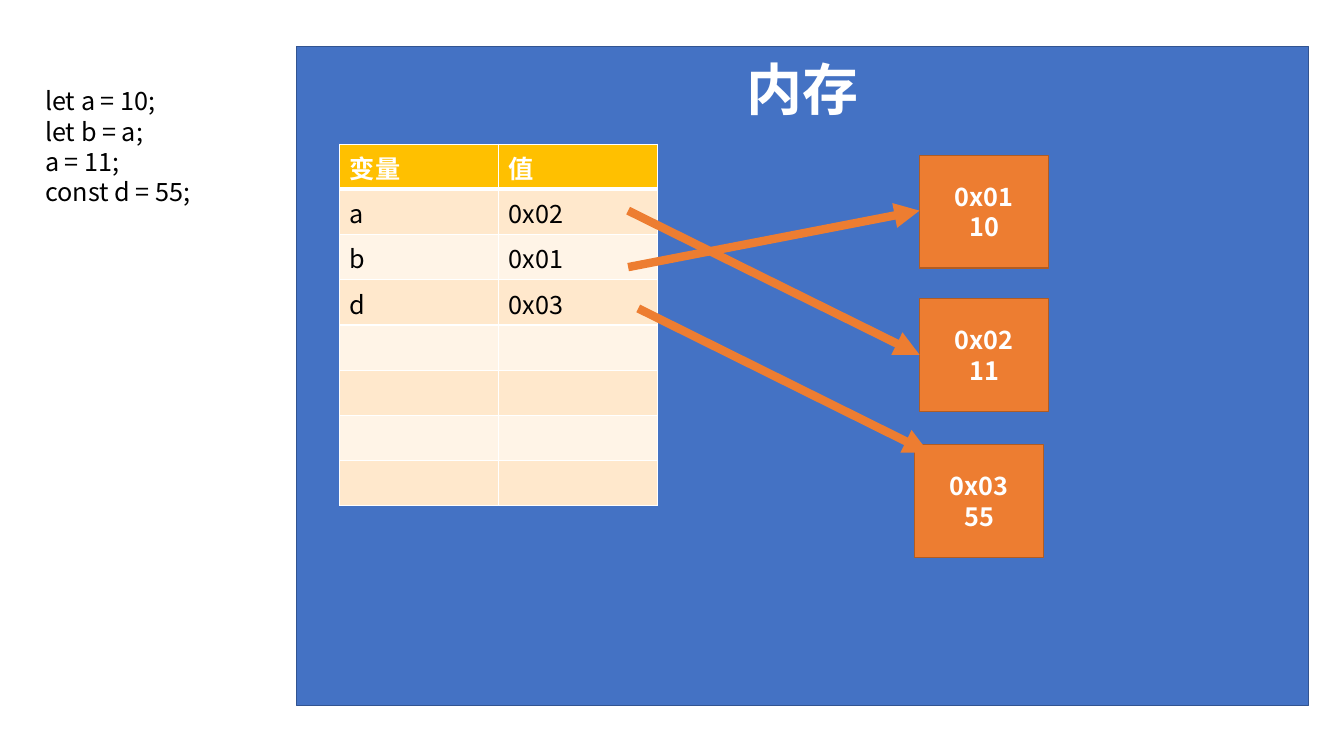
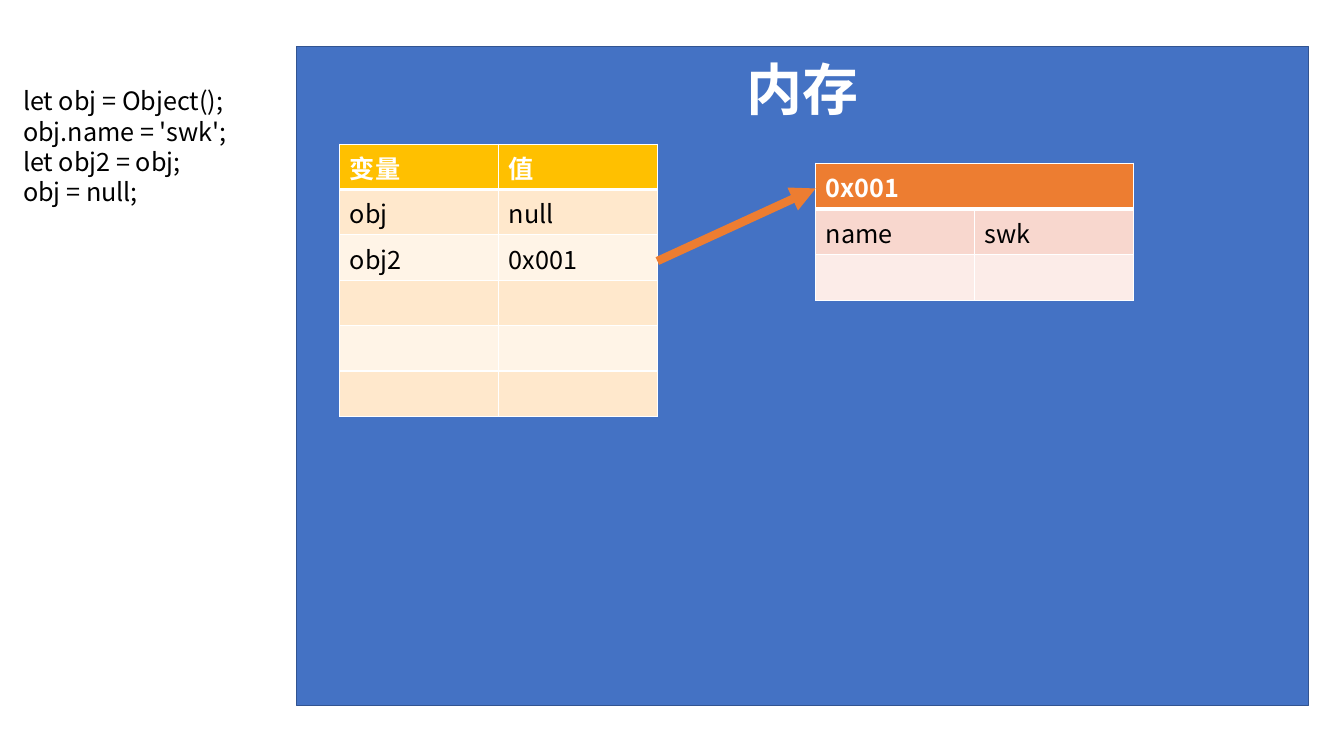
from dataclasses import dataclass

from lxml.etree import SubElement
from pptx import Presentation
from pptx.dml.color import RGBColor
from pptx.enum.shapes import MSO_CONNECTOR, MSO_SHAPE
from pptx.enum.text import MSO_ANCHOR, PP_ALIGN
from pptx.oxml.ns import qn
from pptx.slide import Slide
from pptx.table import _Cell
from pptx.text.text import TextFrame, _Paragraph
from pptx.util import Inches, Pt

# Shared style
FONT = "Noto Sans CJK SC"
WHITE, BLACK = "FFFFFF", "000000"
BLUE, DARK_BLUE = "4472C4", "325491"
ORANGE, DARK_ORANGE = "ED7D31", "AF5C24"
TEXT_SIZE, TITLE_SIZE = 18, 40
LINE_FACTOR = 1.2
TABLE_WIDTH = 3.15
CELL_WIDTH, CELL_HEIGHT = 1.28, 1.12


@dataclass
class TableColors:
    header: str
    bands: tuple[str, str]


VARIABLE_COLORS = TableColors("FFC000", ("FFE8CC", "FFF4E7"))
OBJECT_COLORS = TableColors(ORANGE, ("F8D7CE", "FCECE8"))


@dataclass
class Grid:
    left: float
    top: float
    height: float
    row_count: int
    rows: list[tuple[str, ...]]
    colors: TableColors


@dataclass
class MemoryCell:
    left: float
    top: float
    text: str


@dataclass
class Arrow:
    start: tuple[float, float]
    end: tuple[float, float]


@dataclass
class MemoryPage:
    code: str
    code_left: float
    code_width: float
    grids: list[Grid]
    cells: list[MemoryCell]
    arrows: list[Arrow]


def rgb(color: str) -> RGBColor:
    return RGBColor.from_string(color)


# Text
def style_runs(para: _Paragraph, size: float, color: str, bold: bool) -> None:
    for span in para.runs:
        span.font.size = Pt(size)
        span.font.bold = bold
        span.font.name = FONT
        span.font.color.rgb = rgb(color)
        SubElement(span.font._element, qn("a:ea"), typeface=FONT)


def write_lines(frame: TextFrame, text: str, size: float, color: str,
                bold: bool, align: PP_ALIGN) -> None:
    frame.word_wrap = True
    frame.text = text
    for para in frame.paragraphs:
        para.alignment = align
        para.line_spacing = Pt(size * LINE_FACTOR)
        style_runs(para, size, color, bold)


# Shapes
def draw_box(page: Slide, left: float, top: float, width: float, height: float,
             fill: str, outline: str, text: str, size: float,
             anchor: MSO_ANCHOR) -> None:
    box = page.shapes.add_shape(MSO_SHAPE.RECTANGLE, Inches(left), Inches(top),
                                Inches(width), Inches(height))
    box.shadow.inherit = False
    box.fill.solid()
    box.fill.fore_color.rgb = rgb(fill)
    box.line.color.rgb = rgb(outline)
    box.line.width = Pt(1)
    box.text_frame.vertical_anchor = anchor
    box.text_frame.margin_top = Inches(0.08)
    box.text_frame.margin_bottom = Inches(0.08)
    write_lines(box.text_frame, text, size, WHITE, True, PP_ALIGN.CENTER)


def draw_code(page: Slide, code: str, left: float, width: float) -> None:
    box = page.shapes.add_textbox(Inches(left), Inches(0.8), Inches(width), Inches(1.31))
    write_lines(box.text_frame, code, TEXT_SIZE, BLACK, False, PP_ALIGN.LEFT)


def draw_arrow(page: Slide, arrow: Arrow) -> None:
    ends = [Inches(value) for value in (*arrow.start, *arrow.end)]
    connector = page.shapes.add_connector(MSO_CONNECTOR.STRAIGHT, *ends)
    connector.line.color.rgb = rgb(ORANGE)
    connector.line.width = Pt(6)
    SubElement(connector.line._get_or_add_ln(), qn("a:tailEnd"), type="triangle")
    SubElement(connector._element.spPr, qn("a:effectLst"))


# Tables
def add_border(cell: _Cell, side: str, points: float) -> None:
    line = SubElement(cell._tc.get_or_add_tcPr(), qn(f"a:ln{side}"), w=str(Pt(points)))
    SubElement(SubElement(line, qn("a:solidFill")), qn("a:srgbClr"), val=WHITE)


def draw_grid(page: Slide, grid: Grid) -> None:
    table = page.shapes.add_table(grid.row_count, 2, Inches(grid.left), Inches(grid.top),
                                  Inches(TABLE_WIDTH), Inches(grid.height)).table
    for row in range(grid.row_count):
        is_header = row == 0
        texts = grid.rows[row] if row < len(grid.rows) else ("", "")
        for column in range(2):
            cell = table.cell(row, column)
            cell.margin_bottom = Inches(0.03)
            add_border(cell, "L", 1)
            add_border(cell, "R", 1)
            add_border(cell, "T", 3 if row == 1 else 1)
            add_border(cell, "B", 3 if is_header else 1)
            cell.fill.solid()
            band = grid.colors.bands[(row - 1) % 2]
            cell.fill.fore_color.rgb = rgb(grid.colors.header if is_header else band)
            if column < len(texts) and texts[column]:
                para = cell.text_frame.paragraphs[0]
                para.text = texts[column]
                style_runs(para, TEXT_SIZE, WHITE if is_header else BLACK, is_header)
        if len(texts) == 1:
            table.cell(row, 0).merge(table.cell(row, 1))


def variable_grid(height: float, row_count: int, rows: list[tuple[str, ...]]) -> Grid:
    return Grid(3.37, 1.43, height, row_count, [("变量", "值"), *rows], VARIABLE_COLORS)


def draw_page(page: Slide, content: MemoryPage) -> None:
    draw_box(page, 2.94, 0.46, 10.04, 6.54, BLUE, DARK_BLUE, "内存",
             TITLE_SIZE, MSO_ANCHOR.TOP)
    draw_code(page, content.code, content.code_left, content.code_width)
    for grid in content.grids:
        draw_grid(page, grid)
    for cell in content.cells:
        draw_box(page, cell.left, cell.top, CELL_WIDTH, CELL_HEIGHT, ORANGE, DARK_ORANGE,
                 cell.text, TEXT_SIZE, MSO_ANCHOR.MIDDLE)
    for arrow in content.arrows:
        draw_arrow(page, arrow)


# Content
PAGES = [
    MemoryPage(
        code="let a = 10;\nlet b = a;\na = 11;\nconst d = 55;",
        code_left=0.35,
        code_width=1.94,
        grids=[variable_grid(3.59, 8, [("a", "0x02"), ("b", "0x01"), ("d", "0x03")])],
        cells=[
            MemoryCell(9.12, 1.54, "0x01\n10"),
            MemoryCell(9.12, 2.96, "0x02\n11"),
            MemoryCell(9.07, 4.41, "0x03\n55"),
        ],
        arrows=[
            Arrow((6.23, 2.09), (9.12, 3.52)),
            Arrow((6.23, 2.65), (9.12, 2.09)),
            Arrow((6.33, 3.06), (9.21, 4.49)),
        ],
    ),
    MemoryPage(
        code="let obj = Object();\nobj.name = 'swk';\nlet obj2 = obj;\nobj = null;",
        code_left=0.13,
        code_width=2.65,
        grids=[
            variable_grid(2.7, 6, [("obj", "null"), ("obj2", "0x001")]),
            Grid(8.09, 1.62, 1.36, 3, [("0x001",), ("name", "swk")], OBJECT_COLORS),
        ],
        cells=[],
        arrows=[Arrow((6.52, 2.59), (8.09, 1.87))],
    ),
]

deck = Presentation()
deck.slide_width = Inches(13.33)
deck.slide_height = Inches(7.5)
for page_content in PAGES:
    draw_page(deck.slides.add_slide(deck.slide_layouts[6]), page_content)
deck.save("out.pptx")
